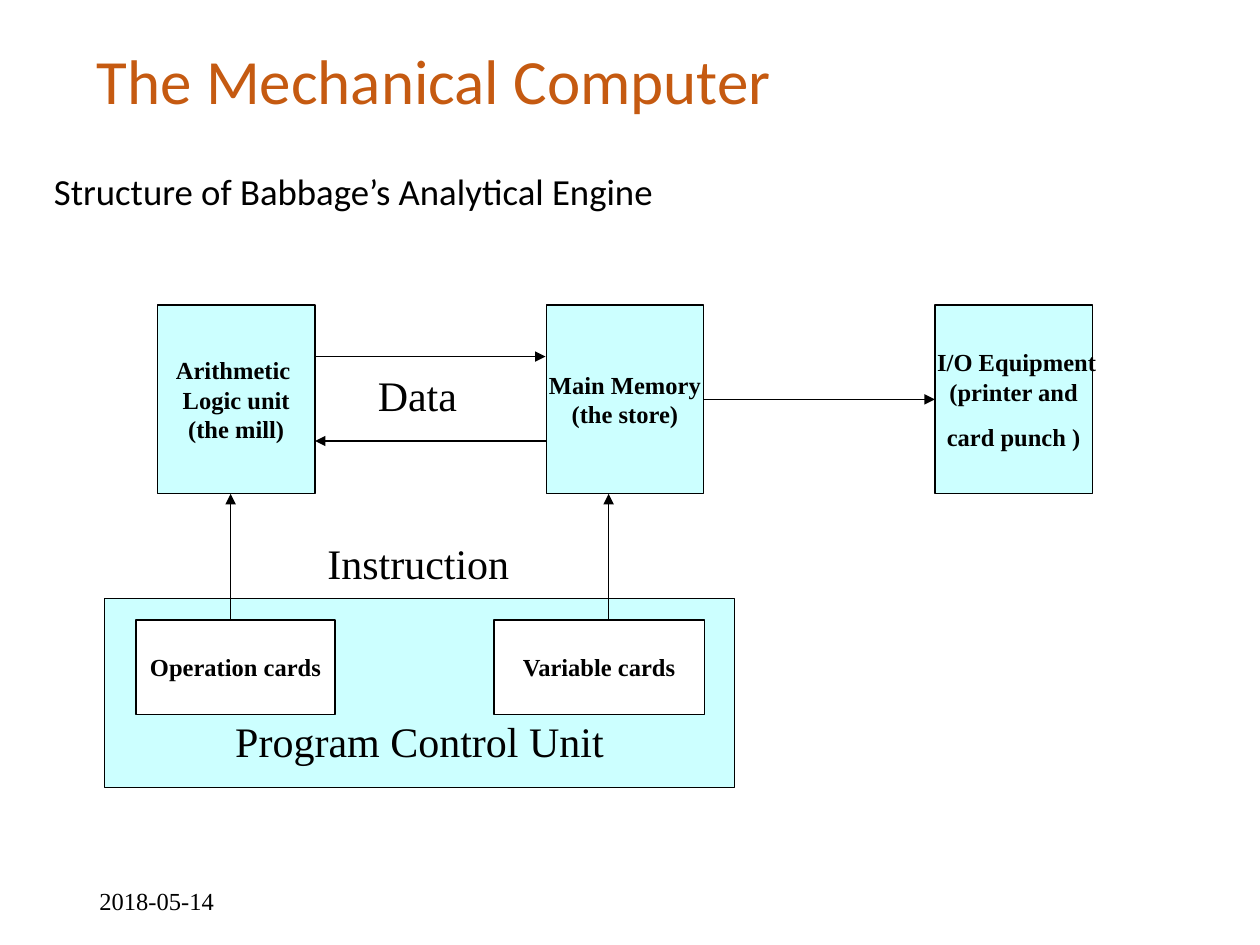
from dataclasses import dataclass

from lxml import etree
from pptx import Presentation
from pptx.dml.color import RGBColor
from pptx.enum.shapes import MSO_CONNECTOR, MSO_SHAPE
from pptx.enum.text import MSO_ANCHOR, PP_ALIGN
from pptx.oxml.ns import qn
from pptx.util import Inches, Pt


@dataclass(frozen=True)
class Theme:
    accent: RGBColor = RGBColor(0xC5, 0x5A, 0x11)
    ink: RGBColor = RGBColor(0, 0, 0)
    unit: RGBColor = RGBColor(0xCC, 0xFF, 0xFF)
    card: RGBColor = RGBColor(0xFF, 0xFF, 0xFF)
    sans: str = "Calibri"
    serif: str = "Times New Roman"
    title: int = 36
    subtitle: int = 21
    label: int = 24
    small: int = 14
    line: float = 0.75


theme = Theme()

deck = Presentation()
deck.slide_width, deck.slide_height = Inches(10), Inches(7.5)
page = deck.slides.add_slide(deck.slide_layouts[6])


def write(box, lines, size, font=theme.serif, color=theme.ink, bold=False,
          align=PP_ALIGN.LEFT, anchor=MSO_ANCHOR.TOP, wrap=True, spacing=None):
    frame = box.text_frame
    frame.word_wrap = wrap
    frame.vertical_anchor = anchor
    for index, line in enumerate(lines):
        para = frame.paragraphs[0] if index == 0 else frame.add_paragraph()
        para.alignment = align
        para.line_spacing = spacing
        span = para.add_run()
        span.text = line
        span.font.name = font
        span.font.size = Pt(size)
        span.font.bold = bold
        span.font.color.rgb = color
    return frame


def add_block(left, top, width, height, fill):
    box = page.shapes.add_shape(MSO_SHAPE.RECTANGLE, Inches(left), Inches(top),
                                Inches(width), Inches(height))
    box.shadow.inherit = False
    box.fill.solid()
    box.fill.fore_color.rgb = fill
    box.line.color.rgb = theme.ink
    box.line.width = Pt(theme.line)
    return box


# Title, subtitle and date
title = page.shapes.add_textbox(Inches(0.67), Inches(0.33), Inches(8.5), Inches(0.67))
write(title, ["The Mechanical Computer"], theme.title, theme.sans, theme.accent,
      anchor=MSO_ANCHOR.MIDDLE, spacing=0.9)

subtitle = page.shapes.add_textbox(Inches(0.33), Inches(1.33), Inches(9.25), Inches(5.17))
write(subtitle, ["Structure of Babbage’s Analytical Engine"], theme.subtitle,
      theme.sans, spacing=0.9)

date = page.shapes.add_textbox(Inches(0.69), Inches(6.95), Inches(2.25), Inches(0.4))
write(date, ["2018-05-14"], theme.small, anchor=MSO_ANCHOR.MIDDLE)

# Three units in an evenly spaced row
unit_texts = [
    ["Arithmetic ", "Logic unit", "(the mill)"],
    ["Main Memory", "(the store)"],
    [" I/O Equipment", "(printer and", "card punch )"],
]
units = []
for column, lines in enumerate(unit_texts):
    unit = add_block(1.25 + column * 3.085, 2.42, 1.25, 1.5, theme.unit)
    write(unit, lines, theme.small, bold=True, align=PP_ALIGN.CENTER,
          anchor=MSO_ANCHOR.MIDDLE, wrap=False)
    units.append(unit)
mill, store, equipment = units
equipment.text_frame.paragraphs[-1].space_before = Pt(9)

# Program control unit with its two kinds of cards
control = add_block(0.83, 4.75, 5, 1.5, theme.unit)
control_frame = write(control, ["Program Control Unit"], theme.label,
                      align=PP_ALIGN.CENTER, anchor=MSO_ANCHOR.BOTTOM, wrap=False)
control_frame.margin_bottom = Inches(0.17)

for left, width, name in [(1.08, 1.58, "Operation cards"), (3.92, 1.67, "Variable cards")]:
    card = add_block(left, 4.92, width, 0.75, theme.card)
    write(card, [name], theme.small, bold=True, align=PP_ALIGN.CENTER,
          anchor=MSO_ANCHOR.MIDDLE, wrap=False)

# Arrows for data and instructions
arrow_ends = [
    (2.5, 2.83, 4.33, 2.83),
    (4.33, 3.5, 2.5, 3.5),
    (1.83, 4.92, 1.83, 3.92),
    (4.83, 4.92, 4.83, 3.92),
    (5.58, 3.17, 7.42, 3.17),
]
for ends in arrow_ends:
    arrow = page.shapes.add_connector(MSO_CONNECTOR.STRAIGHT, *map(Inches, ends))
    arrow.line.color.rgb = theme.ink
    arrow.line.width = Pt(theme.line)
    etree.SubElement(arrow.line._get_or_add_ln(), qn("a:tailEnd"), type="triangle")
    etree.SubElement(arrow._element.spPr, qn("a:effectLst"))

# The last arrow joins the store to the equipment
arrow.begin_connect(store, 3)
arrow.end_connect(equipment, 1)

# Arrow labels
for left, top, width, name in [(2.9, 2.88, 0.83, "Data"), (2.5, 4.22, 2.04, "Instruction")]:
    label = page.shapes.add_textbox(Inches(left), Inches(top), Inches(width), Inches(0.5))
    write(label, [name], theme.label)

deck.save("out.pptx")
